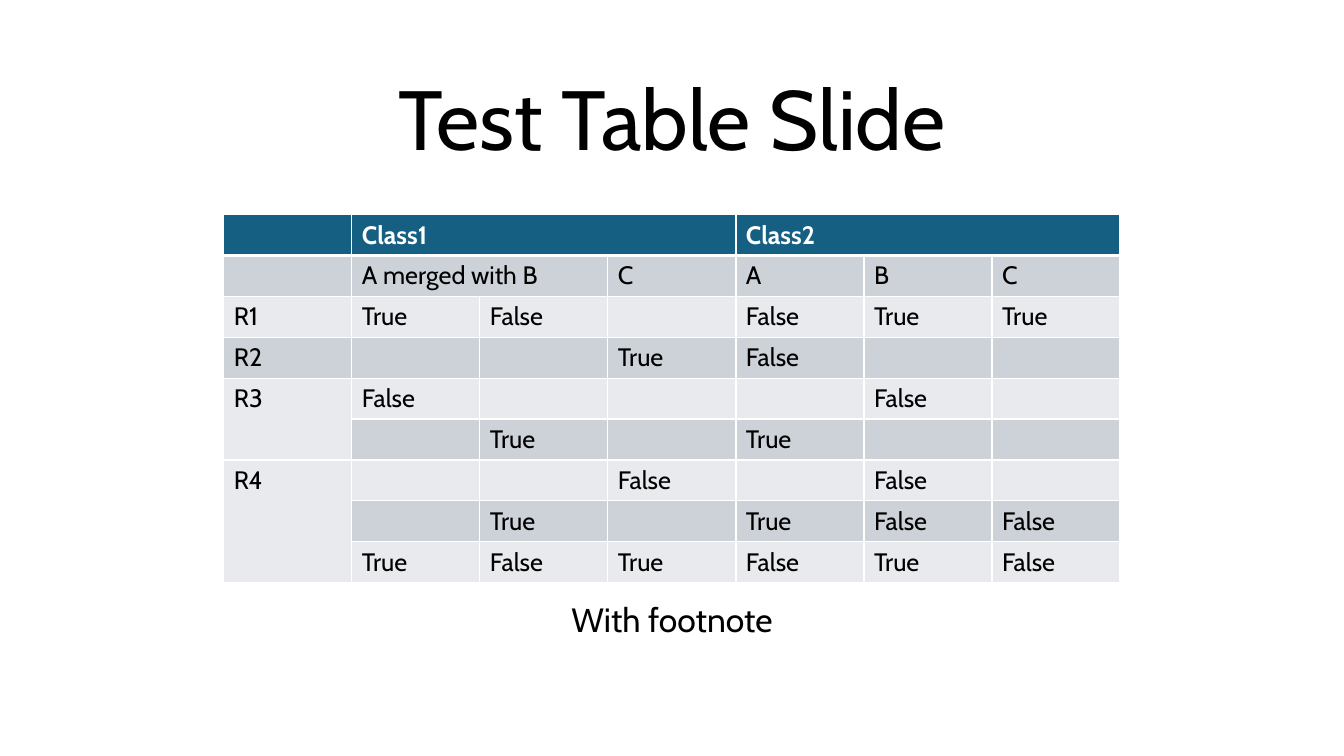
from lxml.etree import SubElement
from pptx import Presentation
from pptx.dml.color import RGBColor
from pptx.enum.text import MSO_ANCHOR, PP_ALIGN
from pptx.oxml.ns import qn
from pptx.util import Inches, Pt

FONT = "Cabin"
BLACK = RGBColor(0x00, 0x00, 0x00)
WHITE = RGBColor(0xFF, 0xFF, 0xFF)
HEADER = RGBColor(0x15, 0x60, 0x82)
DARK_BAND = RGBColor(0xCC, 0xD2, 0xD8)
LIGHT_BAND = RGBColor(0xE8, 0xEA, 0xED)

ROWS = [
    ["", "Class1", "", "", "Class2", "", ""],
    ["", "A merged with B", "", "C", "A", "B", "C"],
    ["R1", "True", "False", "", "False", "True", "True"],
    ["R2", "", "", "True", "False", "", ""],
    ["R3", "False", "", "", "", "False", ""],
    ["", "", "True", "", "True", "", ""],
    ["R4", "", "", "False", "", "False", ""],
    ["", "", "True", "", "True", "False", "False"],
    ["", "True", "False", "True", "False", "True", "False"],
]
# First and last cell (row, column) of each merged block
MERGES = [((0, 1), (0, 3)), ((0, 4), (0, 6)), ((1, 1), (1, 2)),
          ((4, 0), (5, 0)), ((6, 0), (8, 0))]


def write(tf, text, size, color, bold=False, align=PP_ALIGN.LEFT):
    tf.text = text
    p = tf.paragraphs[0]
    p.alignment = align
    p.font.name, p.font.size, p.font.bold = FONT, Pt(size), bold
    p.font.color.rgb = color
    return p


def add_borders(cell, bottom_width):
    tc_pr = cell._tc.get_or_add_tcPr()
    for side, width in zip("LRTB", (1, 1, 1, bottom_width)):
        line = SubElement(tc_pr, qn(f"a:ln{side}"), w=str(Pt(width)))
        fill = SubElement(line, qn("a:solidFill"))
        SubElement(fill, qn("a:srgbClr"), val=str(WHITE))


prs = Presentation()
prs.slide_width, prs.slide_height = Inches(13.33), Inches(7.5)
s = prs.slides.add_slide(prs.slide_layouts[5])
text_width = Inches(10)
text_left = (prs.slide_width - text_width) // 2

# Title
title = s.shapes.title
title.left, title.top = text_left, Inches(0.7)
title.width, title.height = text_width, Inches(1.02)
p = write(title.text_frame, "Test Table Slide", 60, BLACK, align=PP_ALIGN.CENTER)
p.line_spacing = 0.9
title.text_frame.vertical_anchor = MSO_ANCHOR.BOTTOM

# Table
col_width, row_height = Inches(1.27), Inches(3.65) // len(ROWS)
table_width = col_width * len(ROWS[0])
table = s.shapes.add_table(
    len(ROWS), len(ROWS[0]), (prs.slide_width - table_width) // 2, Inches(2.13),
    table_width, row_height * len(ROWS)).table
for i, row in enumerate(ROWS):
    is_header = i == 0
    band = HEADER if is_header else DARK_BAND if i % 2 else LIGHT_BAND
    for j, text in enumerate(row):
        cell = table.cell(i, j)
        write(cell.text_frame, text, 18, WHITE if is_header else BLACK, is_header)
        add_borders(cell, 3 if is_header else 1)
        cell.fill.solid()
        cell.fill.fore_color.rgb = band
for first, last in MERGES:
    table.cell(*first).merge(table.cell(*last))

# Footnote
footnote = s.shapes.add_textbox(text_left, Inches(5.94), text_width, Inches(0.5))
tf = footnote.text_frame
tf.word_wrap = True
p = write(tf, "With footnote", 24, BLACK, align=PP_ALIGN.CENTER)
p.line_spacing, p.space_before = 0.9, Pt(10)

prs.save("out.pptx")
